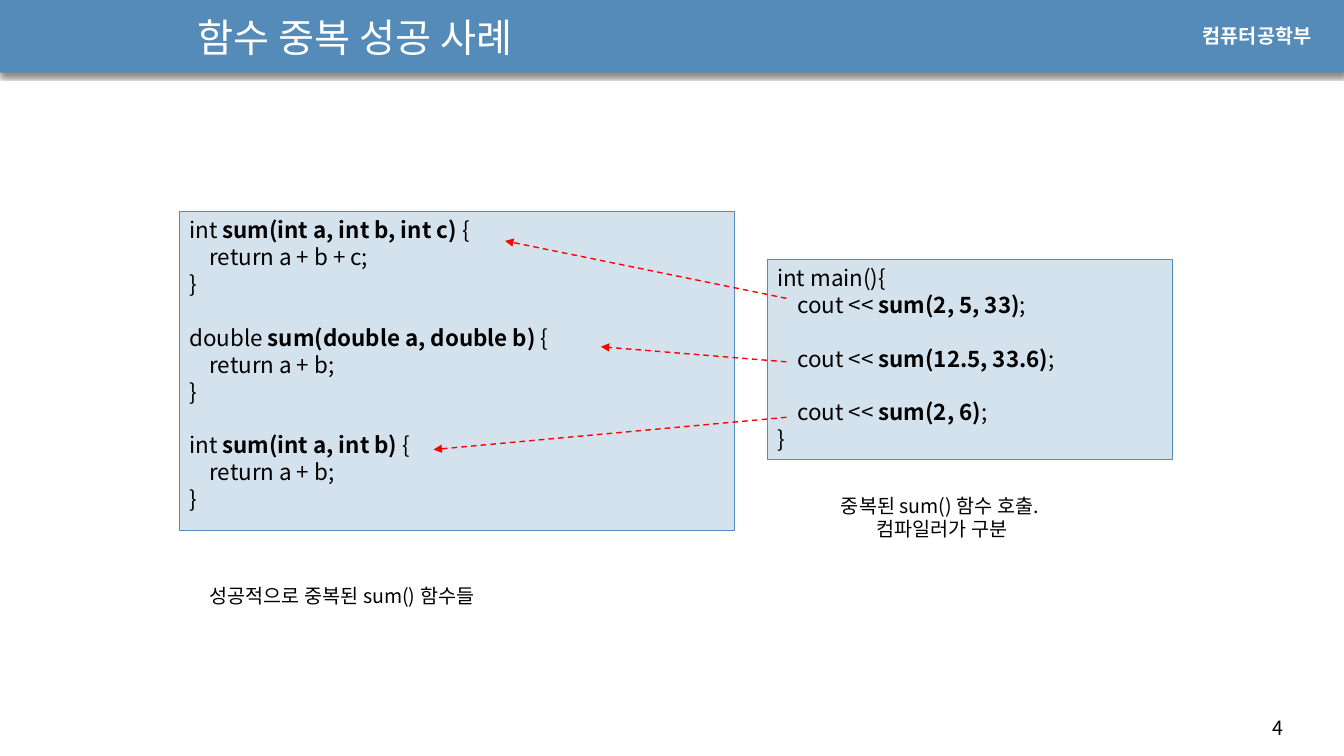
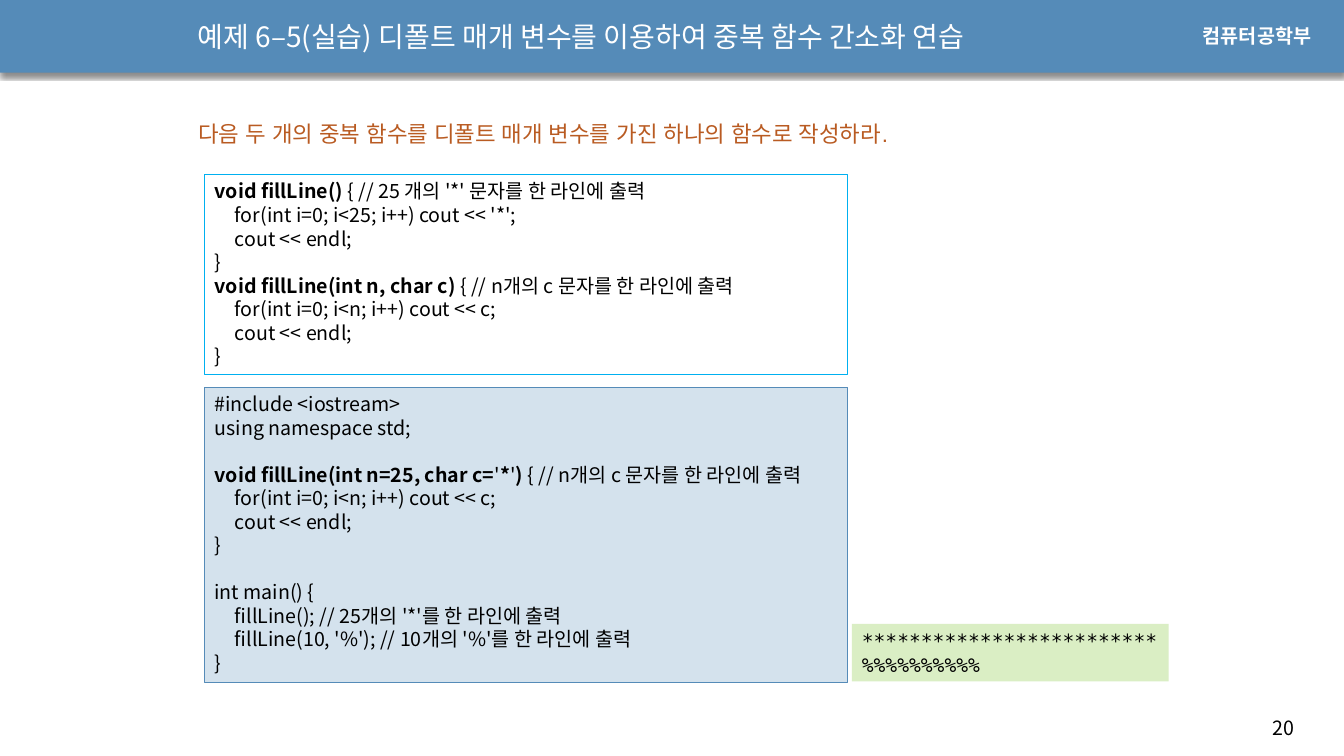
from dataclasses import dataclass

from pptx import Presentation
from pptx.dml.color import RGBColor
from pptx.enum.dml import MSO_LINE_DASH_STYLE as Dash
from pptx.enum.shapes import MSO_CONNECTOR as Connector, MSO_SHAPE as Shape
from pptx.enum.text import MSO_ANCHOR as Anchor, MSO_AUTO_SIZE as AutoSize, PP_ALIGN as Align
from pptx.oxml import parse_xml
from pptx.oxml.ns import nsdecls, qn
from pptx.util import Emu, Pt


@dataclass(frozen=True)
class Theme:
    # Colours
    band: str = "558BB8"
    panel: str = "D4E2ED"
    output: str = "DAEEC4"
    outline: str = "00B0F0"
    call: str = "FF0000"
    prompt: str = "B95B22"
    ink: str = "000000"
    paper: str = "FFFFFF"
    # Fonts
    main: str = "Noto Sans CJK KR"
    label: str = "Arial"
    mono: str = "DejaVu Sans Mono"
    # Type sizes and line pitch
    title: int = 28
    long_title: int = 20
    large: int = 16
    small: int = 14
    pitch: float = 1.2


THEME = Theme()
PX = 9144  # EMU in one px, 100 px to the inch
WIDTH, HEIGHT = 1333, 750
INDENT = 20
BOLD = "`"  # switches bold on and off within a line


def px(*lengths):
    return [Emu(length * PX) for length in lengths]


def rgb(colour):
    return RGBColor.from_string(colour)


# Text
def add_run(paragraph, text, size, font, colour, bold=False):
    run = paragraph.add_run()
    run.text = text
    run.font.size, run.font.name, run.font.bold = Pt(size), font, bold
    run.font.color.rgb = rgb(colour)
    east_asian = parse_xml(f'<a:ea {nsdecls("a")} typeface="{font}"/>')
    run.font._element.find(qn("a:latin")).addnext(east_asian)


def write_lines(frame, lines, size, font=THEME.main, colour=THEME.ink,
                align=Align.LEFT, bold=False):
    """Write one paragraph a line; a tab indents, an empty line opens a gap."""
    pitch = Pt(size * THEME.pitch)
    paragraph, gap = frame.paragraphs[0], 0
    for number, line in enumerate(lines):
        if not line:
            gap += pitch
            continue
        if number:
            paragraph = frame.add_paragraph()
        paragraph.alignment, paragraph.line_spacing = align, pitch
        paragraph.space_before, gap = Emu(gap), 0
        if line.startswith("\t"):
            paragraph._p.get_or_add_pPr().set("marL", str(INDENT * PX))
        for part, text in enumerate(line.lstrip("\t").split(BOLD)):
            if text:
                add_run(paragraph, text, size, font, colour, bold or part % 2 == 1)


def add_label(slide, box, lines, size, **style):
    label = slide.shapes.add_textbox(*px(*box))
    label.text_frame.word_wrap = True
    write_lines(label.text_frame, lines, size, **style)
    return label


def set_title(slide, text, width, size):
    title = slide.shapes.title
    title.left, title.top, title.width, title.height = px(186, 5, width, 63)
    frame = title.text_frame
    frame.auto_size, frame.vertical_anchor = AutoSize.NONE, Anchor.MIDDLE
    paragraph = frame.paragraphs[0]
    paragraph.alignment = Align.LEFT
    add_run(paragraph, text, size, THEME.main, THEME.paper)


# Shapes
def add_panel(slide, box, fill=None, line=None):
    panel = slide.shapes.add_shape(Shape.RECTANGLE, *px(*box))
    panel.shadow.inherit = False
    if fill:
        panel.fill.solid()
        panel.fill.fore_color.rgb = rgb(fill)
    else:
        panel.fill.background()
    if line:
        panel.line.color.rgb = rgb(line)
        panel.line.width = Pt(0.75)
    else:
        panel.line.fill.background()
    return panel


def add_code(slide, box, lines, size, fill=THEME.panel, line=THEME.band,
             font=THEME.main, wrap=True):
    frame = add_panel(slide, box, fill, line).text_frame
    frame.vertical_anchor, frame.word_wrap = Anchor.TOP, wrap
    write_lines(frame, lines, size, font)


def add_call_arrow(slide, start, end):
    arrow = slide.shapes.add_connector(Connector.STRAIGHT, *px(*start, *end))
    arrow.line.color.rgb = rgb(THEME.call)
    arrow.line.width, arrow.line.dash_style = Pt(1), Dash.DASH
    arrow.line._get_or_add_ln().append(
        parse_xml(f'<a:tailEnd {nsdecls("a")} type="triangle"/>'))
    arrow._element.spPr.append(parse_xml(f'<a:effectLst {nsdecls("a")}/>'))


# Shared parts
def furnish_layout(layout, slide):
    """Draw the band and department on a slide, then hand them to its layout."""
    band = add_panel(slide, (0, -1, WIDTH, 73), THEME.band)
    band._element.spPr.find(qn("a:effectLst")).append(parse_xml(
        f'<a:outerShdw {nsdecls("a")} blurRad="{Pt(3)}" dist="{Pt(2.4)}" dir="5400000"'
        f' rotWithShape="0"><a:srgbClr val="{THEME.ink}"><a:alpha val="45000"/>'
        '</a:srgbClr></a:outerShdw>'))
    department = add_label(slide, (1183, 19, 137, 34), ["컴퓨터공학부"], THEME.small,
                           font=THEME.label, colour=THEME.paper, bold=True)
    for part in (band, department):
        layout.shapes._spTree.append(part._element)


def start_slide(deck, title, width, size, page):
    layout = deck.slide_layouts.get_by_name("Title Only")
    slide = deck.slides.add_slide(layout)
    if len(deck.slides) == 1:
        furnish_layout(layout, slide)
    set_title(slide, title, width, size)
    add_label(slide, (1252, 705, 71, 34), [str(page)], THEME.small)
    return slide


# Slides
def build_overload_slide(deck):
    slide = start_slide(deck, "함수 중복 성공 사례", 740, THEME.title, 4)
    add_code(slide, (178, 210, 551, 316), [
        "int `sum(int a, int b, int c) `{",
        "\treturn a + b + c;",
        "}",
        "",
        "double `sum(double a, double b) `{",
        "\treturn a + b;",
        "}",
        "",
        "int `sum(int a, int b) `{",
        "\treturn a + b;",
        "}",
    ], THEME.large)
    add_code(slide, (761, 257, 402, 199), [
        "int main(){",
        "\tcout << `sum(2, 5, 33)`;",
        "",
        "\tcout << `sum(12.5, 33.6)`;",
        "",
        "\tcout << `sum(2, 6)`;",
        "}",
    ], THEME.large)
    add_label(slide, (198, 574, 405, 34), ["성공적으로 중복된 sum() 함수들"], THEME.small)
    add_label(slide, (793, 485, 283, 57), ["중복된 sum() 함수 호출. ", "컴파일러가 구분"],
              THEME.small, align=Align.CENTER)
    for call_y, definition in ((296, (501, 239)), (359, (596, 344)), (414, (430, 446))):
        add_call_arrow(slide, (780, call_y), definition)


def build_default_slide(deck):
    slide = start_slide(deck, "예제 6–5(실습) 디폴트 매개 변수를 이용하여 중복 함수 간소화 연습",
                        913, THEME.long_title, 20)
    add_label(slide, (187, 114, 937, 37),
              ["다음 두 개의 중복 함수를 디폴트 매개 변수를 가진 하나의 함수로 작성하라."],
              THEME.large, font=THEME.label, colour=THEME.prompt)
    add_code(slide, (203, 173, 638, 199), [
        "`void fillLine() `{ // 25 개의 '*' 문자를 한 라인에 출력",
        "\tfor(int i=0; i<25; i++) cout << '*';",
        "\tcout << endl;",
        "}",
        "`void fillLine(int n, char c) `{ // n개의 c 문자를 한 라인에 출력",
        "\tfor(int i=0; i<n; i++) cout << c;",
        "\tcout << endl;",
        "}",
    ], THEME.small, fill=None, line=THEME.outline)
    add_code(slide, (203, 384, 638, 293), [
        "#include <iostream>",
        "using namespace std;",
        "",
        "`void fillLine(int n=25, char c=`'`*`'`) `{ // n개의 c 문자를 한 라인에 출력",
        "\tfor(int i=0; i<n; i++) cout << c;",
        "\tcout << endl;",
        "}",
        "",
        "int main() {",
        "\tfillLine(); // 25개의 '*'를 한 라인에 출력",
        "\tfillLine(10, '%'); // 10개의 '%'를 한 라인에 출력",
        "}",
    ], THEME.small)
    add_code(slide, (845, 619, 314, 57), ["*" * 25, "%" * 10], THEME.small,
             fill=THEME.output, line=None, font=THEME.mono, wrap=False)


def main():
    deck = Presentation()
    deck.slide_width, deck.slide_height = px(WIDTH, HEIGHT)
    build_overload_slide(deck)
    build_default_slide(deck)
    deck.save("out.pptx")


if __name__ == "__main__":
    main()
